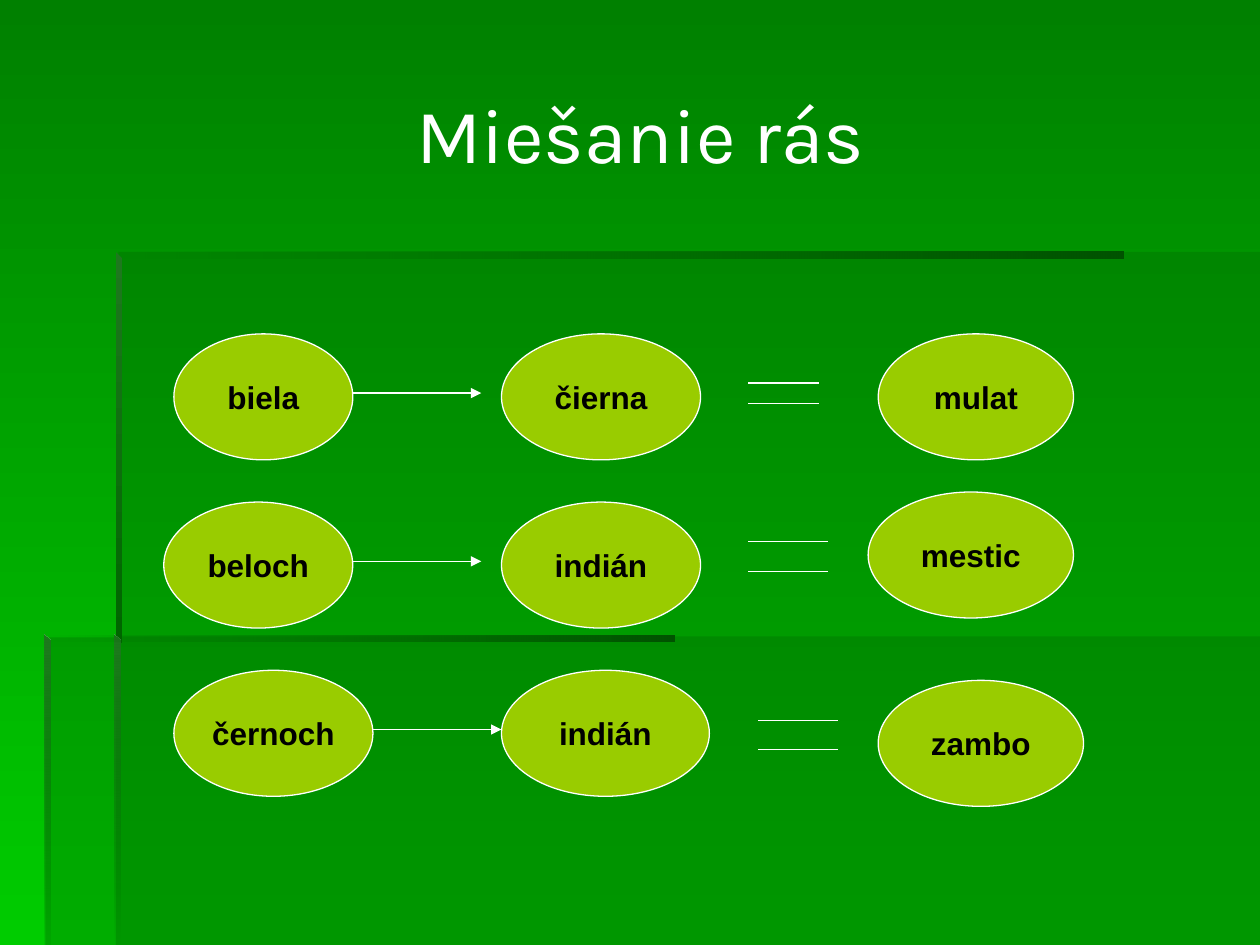
from pptx import Presentation
from pptx.dml.color import RGBColor
from pptx.enum.shapes import MSO_CONNECTOR, MSO_SHAPE
from pptx.enum.text import MSO_ANCHOR, MSO_AUTO_SIZE, PP_ALIGN
from pptx.oxml.ns import qn
from pptx.util import Inches, Pt
from lxml import etree

STRAIGHT = MSO_CONNECTOR.STRAIGHT
OVAL = MSO_SHAPE.OVAL
MIDDLE = MSO_ANCHOR.MIDDLE
FIXED = MSO_AUTO_SIZE.NONE
CENTER = PP_ALIGN.CENTER

WHITE = RGBColor(0xFF, 0xFF, 0xFF)
BLACK = RGBColor(0x00, 0x00, 0x00)
LIME = RGBColor(0x99, 0xCC, 0x00)
GREEN_TOP = RGBColor(0x00, 0x80, 0x00)
GREEN_BOTTOM = RGBColor(0x00, 0xCC, 0x00)
PANEL = RGBColor(0x00, 0x66, 0x00)
BAR_DARK = RGBColor(0x00, 0x53, 0x00)
EDGE_LIGHT = RGBColor(0x1E, 0x78, 0x1E)

COLUMNS, ROWS = 10, 7.5
CELL = Inches(1)
DOWN, LEFTWARD = 270, 180
EDGE = 0.05
OVAL_HEIGHT = 1
FIRST_ROW, ROW_PITCH = 2.65, 1.335
ARROW_DROP, ARROW_LENGTH = 0.47, 1.02

MIXES = [
    dict(names=("biela", "čierna", "mulat"), lefts=(1.38, 3.98, 6.97),
         widths=(1.42, 1.58, 1.55), result_drop=0,
         equals=(5.94, 0.56, (0.39, 0.55))),
    dict(names=("beloch", "indián", "mestic"), lefts=(1.3, 3.98, 6.89),
         widths=(1.5, 1.58, 1.63), result_drop=-0.08,
         equals=(5.94, 0.63, (0.31, 0.55))),
    dict(names=("černoch", "indián", "zambo"), lefts=(1.38, 3.98, 6.97),
         widths=(1.58, 1.65, 1.63), result_drop=0.08,
         equals=(6.02, 0.63, (0.4, 0.63))),
]


def cells(*values):
    return [round(value * CELL) for value in values]


def write(shape, text, font, size, color, bold=False, wrap=True):
    frame = shape.text_frame
    frame.auto_size = FIXED
    frame.word_wrap = wrap
    frame.vertical_anchor = MIDDLE
    para = frame.paragraphs[0]
    para.alignment = CENTER
    span = para.add_run()
    span.text = text
    span.font.name = font
    span.font.size = Pt(size)
    span.font.bold = bold
    span.font.color.rgb = color


def set_gradient(fill, start, end, angle):
    fill.gradient()
    fill.gradient_angle = angle
    for stop, color in zip(fill.gradient_stops, (start, end)):
        stop.color.rgb = color


def set_opacity(shape, percent):
    color = list(shape.element.spPr.iter(qn("a:srgbClr")))[-1]
    etree.SubElement(color, qn("a:alpha"), val=str(percent * 1000))


def outline(page, left, top, points):
    corners = [cells(left + x, top + y) for x, y in points]
    builder = page.shapes.build_freeform(*corners[0], scale=1.0)
    builder.add_line_segments(corners[1:], close=True)
    shape = builder.convert_to_shape()
    shape.shadow.inherit = False
    shape.line.fill.background()
    return shape


def add_panel(page, left, top, points):
    shape = outline(page, left, top, points)
    shape.fill.solid()
    shape.fill.fore_color.rgb = PANEL
    set_opacity(shape, 30)


def add_bar(page, left, top, width):
    shape = outline(page, left, top, [(0, 0), (0, EDGE), (width, EDGE), (width, 0)])
    set_gradient(shape.fill, BAR_DARK, PANEL, LEFTWARD)
    set_opacity(shape, 0)


def add_side(page, left, top, height, end_opacity):
    shape = outline(page, left, top, [(0, 0), (0, height), (EDGE, height), (EDGE, EDGE)])
    set_gradient(shape.fill, EDGE_LIGHT, PANEL, DOWN)
    set_opacity(shape, end_opacity)


def add_backdrop(page):
    set_gradient(page.background.fill, GREEN_TOP, GREEN_BOTTOM, DOWN)
    left, top, width, height = 0.92, 5.05, COLUMNS - 0.92, ROWS - 5.05
    add_panel(page, left, top, [(0, 0), (0, height), (width, height), (width, 0)])
    left, top, width, height = 0.36, 2, COLUMNS - 0.36, ROWS - 2
    add_panel(page, left, top, [(0.58, 3.06), (0, 3.06), (0, height),
                                (width, height), (width, 0), (0.58, 0)])
    add_bar(page, 0.92, 2, 8)
    add_side(page, 0.92, 2, 3.1, 100)
    add_side(page, 0.91, 5.04, ROWS - 5.04, 0)
    add_bar(page, 0.35, 5.04, 5)
    add_side(page, 0.35, 5.04, ROWS - 5.04, 10)


def add_title(page, left, top, width, height):
    title = page.shapes.title
    title.left, title.top, title.width, title.height = cells(left, top, width, height)
    write(title, "Miešanie rás", font="Karla", size=44, color=WHITE)


def add_oval(page, text, left, top, width):
    oval = page.shapes.add_shape(OVAL, *cells(left, top, width, OVAL_HEIGHT))
    oval.shadow.inherit = False
    oval.fill.solid()
    oval.fill.fore_color.rgb = LIME
    oval.line.color.rgb = WHITE
    oval.line.width = Pt(0.75)
    write(oval, text, font="Arial", size=18, color=BLACK, bold=True, wrap=False)


def add_line(page, left, top, width, arrow=False):
    line = page.shapes.add_connector(STRAIGHT, *cells(left, top, left + width, top))
    line.line.color.rgb = WHITE
    line.line.width = Pt(0.75)
    if arrow:
        etree.SubElement(line.line._get_or_add_ln(), qn("a:tailEnd"), type="triangle")
    etree.SubElement(line.element.spPr, qn("a:effectLst"))


def add_mix(page, top, names, lefts, widths, result_drop, equals):
    drops = (0, 0, result_drop)
    for name, left, width, drop in zip(names, lefts, widths, drops):
        add_oval(page, name, left, top + drop, width)
    add_line(page, lefts[0] + widths[0], top + ARROW_DROP, ARROW_LENGTH, arrow=True)
    left, width, line_drops = equals
    for drop in line_drops:
        add_line(page, left, top + drop, width)


def main():
    deck = Presentation()
    deck.slide_width, deck.slide_height = cells(COLUMNS, ROWS)
    page = deck.slides.add_slide(deck.slide_layouts[5])
    add_backdrop(page)
    add_title(page, 0.5, 0.27, 9.17, 1.57)
    for index, mix in enumerate(MIXES):
        add_mix(page, FIRST_ROW + index * ROW_PITCH, **mix)
    deck.save("out.pptx")


if __name__ == "__main__":
    main()
